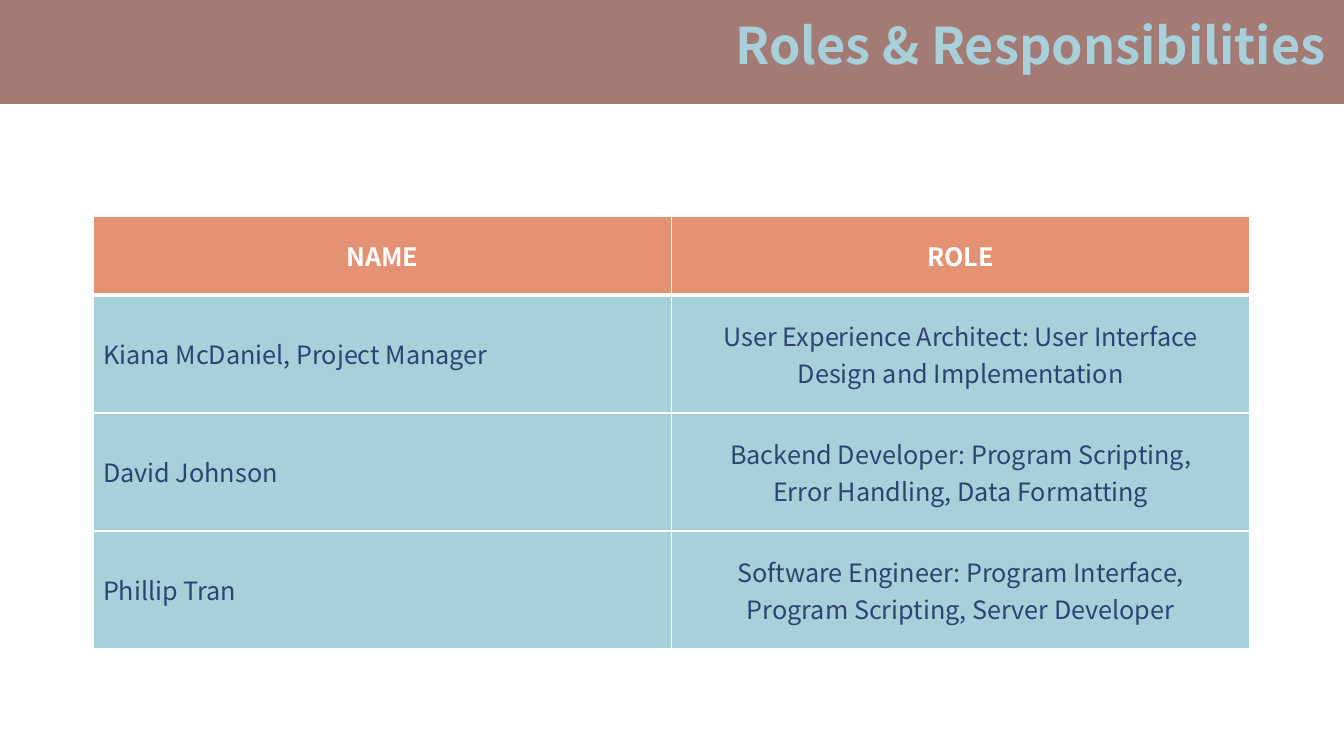
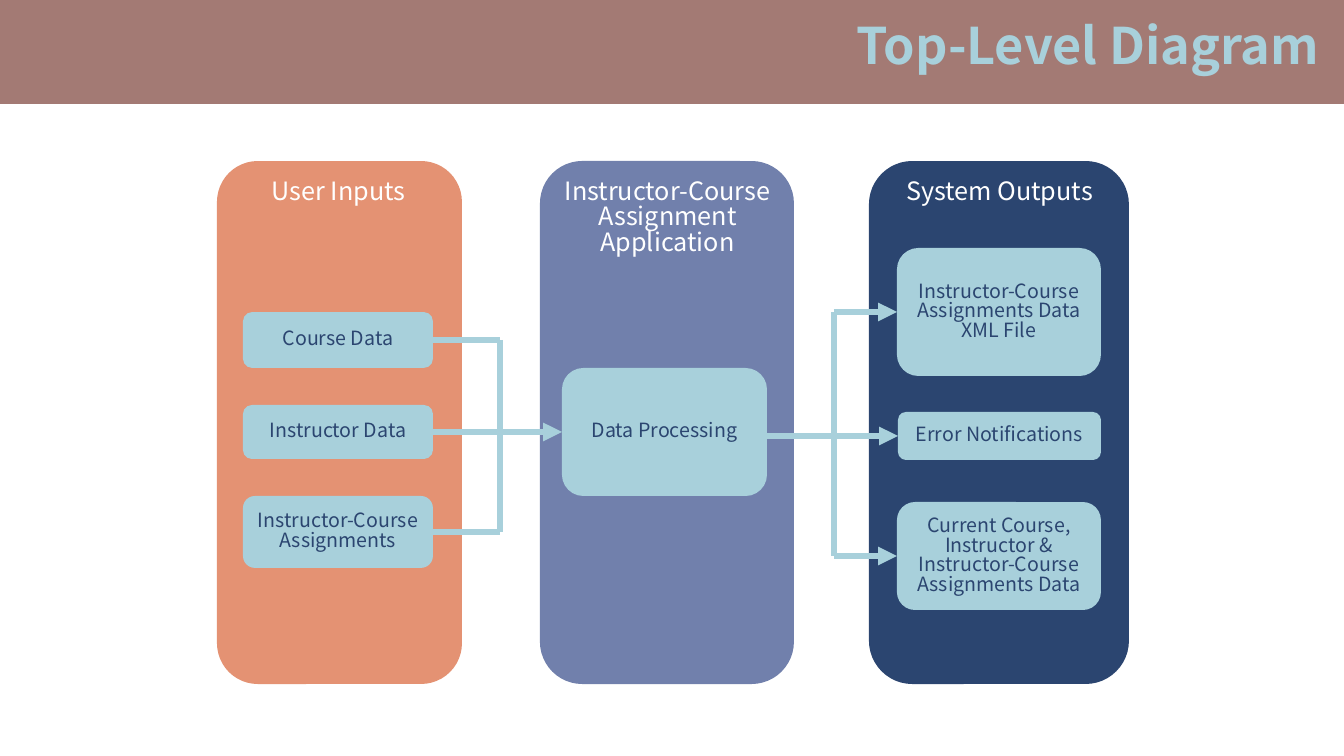
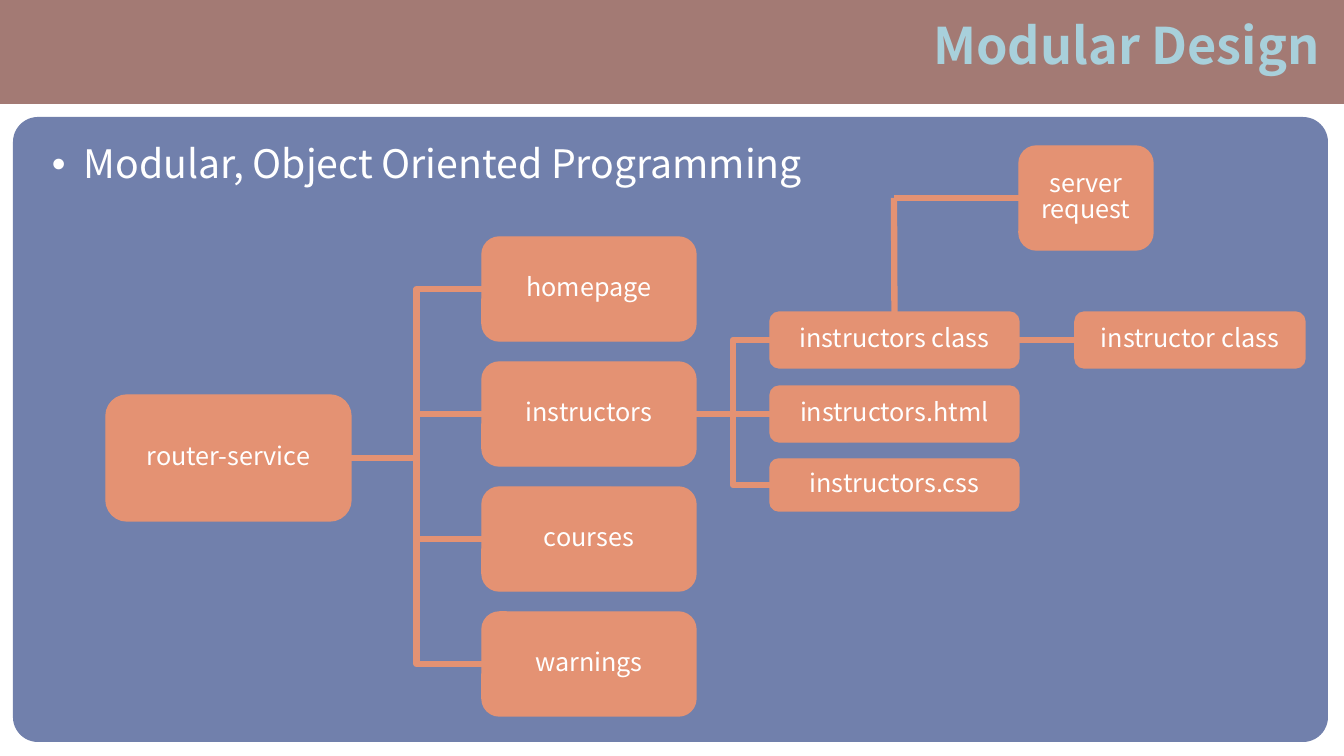
from dataclasses import dataclass
from typing import NamedTuple

from lxml.etree import SubElement
from pptx import Presentation
from pptx.dml.color import RGBColor
from pptx.enum.shapes import MSO_CONNECTOR, MSO_SHAPE
from pptx.enum.text import MSO_ANCHOR, PP_ALIGN
from pptx.oxml.ns import qn
from pptx.util import Emu, Pt

EMU_PER_PX = 914400 / 100.8
SLIDE_WIDTH, SLIDE_HEIGHT = 1344, 756
FONT = "Noto Sans CJK JP"

WHITE = "FFFFFF"
BROWN = "A37A74"
ORANGE = "E49273"
LIGHT_BLUE = "A8D0DB"
VIOLET = "7180AC"
NAVY = "2B4570"

TOP, LEFT, RIGHT = 0, 1, 3


class Box(NamedTuple):
    left: int
    top: int
    width: int
    height: int


@dataclass(frozen=True)
class TextStyle:
    size: int
    color: str
    bold: bool = False
    align: PP_ALIGN = PP_ALIGN.CENTER
    anchor: MSO_ANCHOR = MSO_ANCHOR.TOP
    line_spacing: float = 0.84


@dataclass(frozen=True)
class Node:
    text: str
    box: Box


@dataclass(frozen=True)
class Panel:
    heading: str
    color: str
    box: Box
    heading_box: Box
    nodes: tuple[Node, ...]


class Joint(NamedTuple):
    """A connection site on a shape."""
    shape: object
    site: int


class Point(NamedTuple):
    x: int
    y: int


TITLE = TextStyle(36, LIGHT_BLUE, bold=True, line_spacing=0.9)
HEADING = TextStyle(18, WHITE)
BULLET = TextStyle(28, WHITE, align=PP_ALIGN.LEFT, line_spacing=0.9)
STEP = TextStyle(14, NAVY, anchor=MSO_ANCHOR.MIDDLE)
MODULE = TextStyle(18, WHITE, anchor=MSO_ANCHOR.MIDDLE)
TABLE_HEAD = TextStyle(18, WHITE, bold=True, anchor=MSO_ANCHOR.MIDDLE, line_spacing=1.0)
TABLE_NAME = TextStyle(18, NAVY, align=PP_ALIGN.LEFT, anchor=MSO_ANCHOR.MIDDLE, line_spacing=1.0)
TABLE_ROLE = TextStyle(18, NAVY, anchor=MSO_ANCHOR.MIDDLE, line_spacing=1.0)

ROLES = [
    ("NAME", "ROLE"),
    ("Kiana McDaniel, Project Manager",
     "User Experience Architect: User Interface Design and Implementation"),
    ("David Johnson",
     "Backend Developer: Program Scripting,\nError Handling, Data Formatting"),
    ("Phillip Tran",
     "Software Engineer: Program Interface,\nProgram Scripting, Server Developer"),
]

PANELS = [
    Panel("User Inputs", ORANGE, Box(217, 161, 245, 523), Box(238, 175, 201, 40), (
        Node("Course Data", Box(243, 312, 190, 56)),
        Node("Instructor Data", Box(243, 405, 190, 54)),
        Node("Instructor-Course Assignments", Box(243, 496, 190, 72)),
    )),
    Panel("Instructor-Course Assignment Application", VIOLET,
          Box(540, 161, 254, 523), Box(546, 175, 243, 102), (
              Node("Data Processing", Box(562, 368, 205, 128)),
          )),
    Panel("System Outputs", NAVY, Box(869, 161, 260, 523), Box(878, 175, 243, 40), (
        Node("Instructor-Course Assignments Data XML File", Box(897, 248, 204, 128)),
        Node("Error Notifications", Box(898, 412, 203, 48)),
        Node("Current Course, Instructor & Instructor-Course Assignments Data",
             Box(897, 502, 204, 108)),
    )),
]

ROUTER = Node("router-service", Box(106, 395, 245, 126))
PAGES = [Node(name, Box(482, 237 + 125 * index, 214, 104))
         for index, name in enumerate(("homepage", "instructors", "courses", "warnings"))]
INSTRUCTOR_FILES = [
    Node("instructors class", Box(770, 312, 249, 56)),
    Node("instructors.html", Box(770, 386, 249, 56)),
    Node("instructors.css", Box(770, 459, 249, 52)),
]
INSTRUCTOR_CLASS = Node("instructor class", Box(1075, 312, 230, 56))
SERVER_REQUEST = Node("server request", Box(1019, 146, 134, 104))


def px(length: int) -> Emu:
    return Emu(round(length * EMU_PER_PX))


def rgb(color: str) -> RGBColor:
    return RGBColor.from_string(color)


def set_values(target, values: dict) -> None:
    for name, value in values.items():
        setattr(target, name, value)


def write_text(frame, text: str, style: TextStyle) -> None:
    frame.text = text
    for paragraph in frame.paragraphs:
        set_values(paragraph, {"alignment": style.align, "line_spacing": style.line_spacing})
        set_values(paragraph.font, {"name": FONT, "size": Pt(style.size), "bold": style.bold})
        paragraph.font.color.rgb = rgb(style.color)


def add_text(slide, box: Box, text: str, style: TextStyle):
    text_box = slide.shapes.add_textbox(*map(px, box))
    set_values(text_box.text_frame, {"word_wrap": True, "vertical_anchor": style.anchor})
    write_text(text_box.text_frame, text, style)
    return text_box


def add_block(slide, box: Box, color: str, kind=MSO_SHAPE.ROUNDED_RECTANGLE, outlined=False):
    block = slide.shapes.add_shape(kind, *map(px, box))
    block.shadow.inherit = False
    block.fill.solid()
    block.fill.fore_color.rgb = rgb(color)
    if outlined:
        block.line.color.rgb = rgb(color)
        block.line.width = Pt(1)
    else:
        block.line.fill.background()
    return block


def add_node(slide, node: Node, color: str, style: TextStyle, outlined=False):
    block = add_block(slide, node.box, color, outlined=outlined)
    set_values(block.text_frame, {"word_wrap": True, "vertical_anchor": style.anchor})
    write_text(block.text_frame, node.text, style)
    return block


def add_link(slide, begin: Point | Joint, end: Point | Joint, color: str,
             kind=MSO_CONNECTOR.STRAIGHT, arrow=False) -> None:
    start, finish = (Point(0, 0) if isinstance(place, Joint) else place for place in (begin, end))
    link = slide.shapes.add_connector(kind, *map(px, (*start, *finish)))
    if isinstance(begin, Joint):
        link.begin_connect(*begin)
    if isinstance(end, Joint):
        link.end_connect(*end)
    link.line.color.rgb = rgb(color)
    link.line.width = Pt(4.5)
    properties = link._element.spPr
    if arrow:
        SubElement(properties.find(qn("a:ln")), qn("a:tailEnd"), type="triangle")
    SubElement(properties, qn("a:effectLst"))


def add_branches(slide, parent, children: list, color: str) -> None:
    """Join the right side of the parent to the left side of each child."""
    for child in children:
        drop = (child.top + child.height // 2) - (parent.top + parent.height // 2)
        kind = MSO_CONNECTOR.STRAIGHT if abs(drop) < px(1) else MSO_CONNECTOR.ELBOW
        add_link(slide, Joint(parent, RIGHT), Joint(child, LEFT), color, kind)


def add_titled_slide(presentation, title: str, title_width: int):
    slide = presentation.slides.add_slide(presentation.slide_layouts[6])
    add_block(slide, Box(0, 0, SLIDE_WIDTH, 104), BROWN, MSO_SHAPE.RECTANGLE)
    add_text(slide, Box(SLIDE_WIDTH - title_width, 16, title_width, 72), title, TITLE)
    return slide


def set_borders(cell, widths: dict[str, int]) -> None:
    properties = cell._tc.get_or_add_tcPr()
    for edge, width in widths.items():
        line = SubElement(properties, qn(f"a:{edge}"), w=str(Pt(width)))
        fill = SubElement(line, qn("a:solidFill"))
        SubElement(fill, qn("a:srgbClr"), val=WHITE)


def build_roles(presentation) -> None:
    slide = add_titled_slide(presentation, "Roles & Responsibilities", 627)
    box = Box(93, 216, 1157, 433)
    table = slide.shapes.add_table(len(ROLES), 2, *map(px, box)).table
    for row_index, texts in enumerate(ROLES):
        is_head = row_index == 0
        table.rows[row_index].height = px(79 if is_head else 118)
        styles = (TABLE_HEAD, TABLE_HEAD) if is_head else (TABLE_NAME, TABLE_ROLE)
        widths = {"lnL": 1, "lnR": 1, "lnT": 3 if row_index == 1 else 1, "lnB": 3 if is_head else 1}
        for column_index, (text, style) in enumerate(zip(texts, styles)):
            cell = table.cell(row_index, column_index)
            set_borders(cell, widths)
            cell.fill.solid()
            cell.fill.fore_color.rgb = rgb(ORANGE if is_head else LIGHT_BLUE)
            cell.vertical_anchor = style.anchor
            write_text(cell.text_frame, text, style)


def build_diagram(presentation) -> None:
    slide = add_titled_slide(presentation, "Top-Level Diagram", 512)
    columns = []
    for panel in PANELS:
        add_block(slide, panel.box, panel.color)
        add_text(slide, panel.heading_box, panel.heading, HEADING)
        columns.append([add_node(slide, node, LIGHT_BLUE, STEP) for node in panel.nodes])
    inputs, (processing,), outputs = columns

    input_x, output_x = 500, 834
    input_rows, output_rows = (340, 432, 532), (312, 436, 556)
    for shape, y in zip(inputs, input_rows):
        add_link(slide, Joint(shape, RIGHT), Point(input_x, y), LIGHT_BLUE)
    for shape, y in zip(outputs, output_rows):
        add_link(slide, Point(output_x, y), Joint(shape, LEFT), LIGHT_BLUE, arrow=True)
    for x, rows in ((input_x, input_rows), (output_x, output_rows)):
        add_link(slide, Point(x, rows[0]), Point(x, rows[-1]), LIGHT_BLUE)
    add_link(slide, Point(input_x, 432), Joint(processing, LEFT), LIGHT_BLUE, arrow=True)
    add_link(slide, Point(767, 436), Point(output_x, 436), LIGHT_BLUE)


def add_bullet(paragraph, indent: int) -> None:
    properties = paragraph._p.get_or_add_pPr()
    properties.set("marL", str(px(indent)))
    properties.set("indent", str(-px(indent)))
    SubElement(properties, qn("a:buFont"), typeface="Arial")
    SubElement(properties, qn("a:buChar"), char="•")


def build_modules(presentation) -> None:
    slide = add_titled_slide(presentation, "Modular Design", 435)
    background = add_block(slide, Box(13, 117, 1315, 625), VIOLET)
    background.adjustments[0] = 0.04
    statement = add_text(slide, Box(42, 140, 1262, 57),
                         "Modular, Object Oriented Programming", BULLET)
    paragraph = statement.text_frame.paragraphs[0]
    properties = paragraph._p.get_or_add_pPr()
    defaults = properties.find(qn("a:defRPr"))
    add_bullet(paragraph, 32)
    if defaults is not None:
        properties.append(defaults)

    def draw(node: Node):
        return add_node(slide, node, ORANGE, MODULE, outlined=True)

    router = draw(ROUTER)
    pages = [draw(node) for node in PAGES]
    files = [draw(node) for node in INSTRUCTOR_FILES]
    instructor_class, server_request = draw(INSTRUCTOR_CLASS), draw(SERVER_REQUEST)

    add_branches(slide, router, pages, ORANGE)
    add_branches(slide, pages[1], files, ORANGE)
    add_branches(slide, files[0], [instructor_class], ORANGE)
    corner = Point(894, 198)
    add_link(slide, Joint(files[0], TOP), corner, ORANGE)
    add_link(slide, corner, Joint(server_request, LEFT), ORANGE)


def main() -> None:
    presentation = Presentation()
    set_values(presentation, {"slide_width": px(SLIDE_WIDTH), "slide_height": px(SLIDE_HEIGHT)})
    build_roles(presentation)
    build_diagram(presentation)
    build_modules(presentation)
    presentation.save("out.pptx")


if __name__ == "__main__":
    main()
